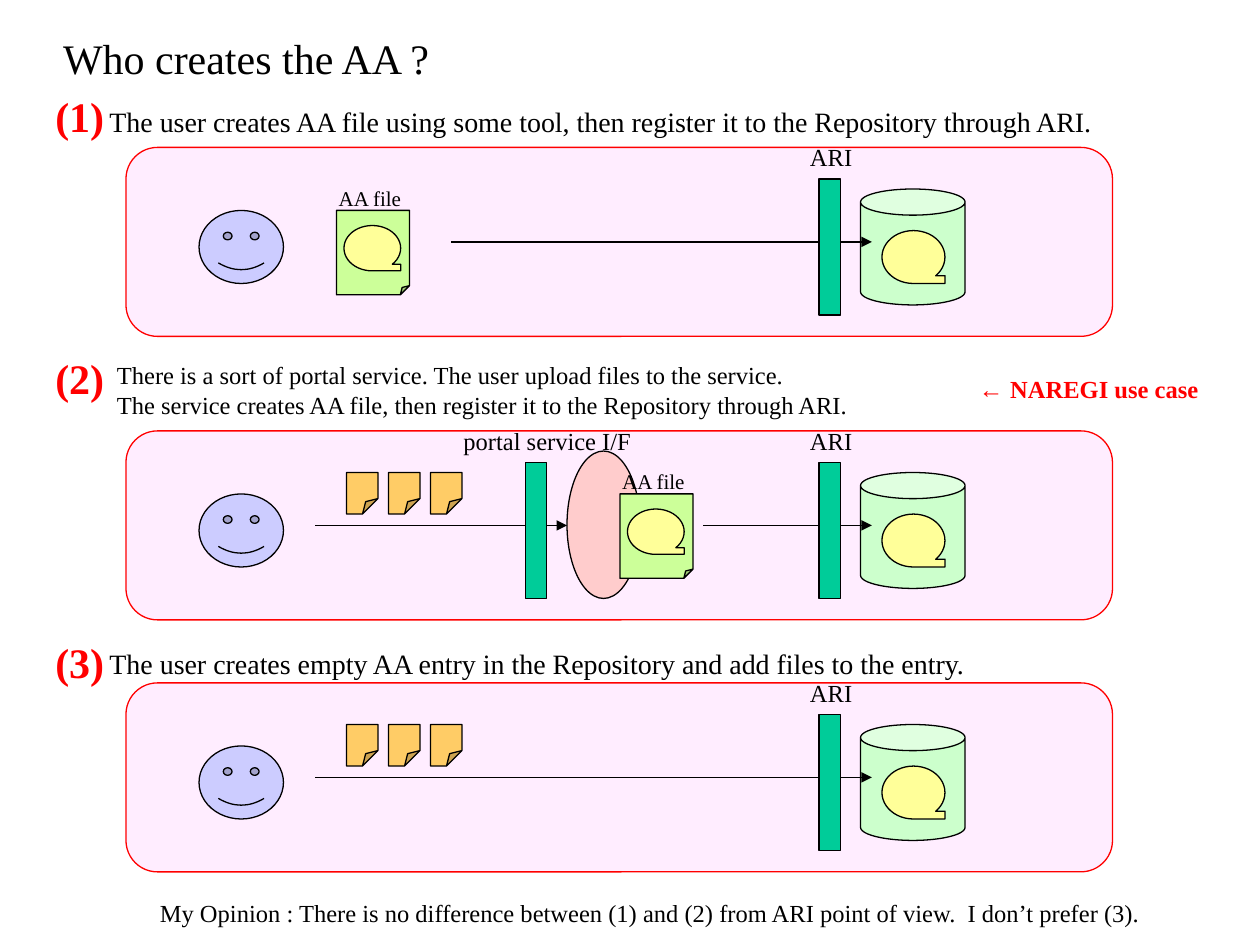
from lxml.etree import SubElement
from pptx import Presentation
from pptx.dml.color import RGBColor
from pptx.enum.shapes import MSO_CONNECTOR, MSO_SHAPE as SHAPE
from pptx.enum.text import MSO_ANCHOR, MSO_AUTO_SIZE, PP_ALIGN
from pptx.oxml.ns import qn
from pptx.util import Inches, Pt

FONT = "Times New Roman"
BLACK, RED = "000000", "FF0000"


def color(value):
    return RGBColor.from_string(value)


def place(sp, *box):
    for name, value in zip(("left", "top", "width", "height"), box):
        setattr(sp, name, Inches(value))


def fill_text(sp, lines, size, ink=BLACK, bold=False, wrap=False):
    tf = sp.text_frame
    for name, value in {"word_wrap": wrap, "auto_size": MSO_AUTO_SIZE.NONE,
                        "vertical_anchor": MSO_ANCHOR.TOP}.items():
        setattr(tf, name, value)
    for i, runs in enumerate(lines):
        p = tf.add_paragraph() if i else tf.paragraphs[0]
        p.alignment = PP_ALIGN.LEFT
        for text, font in runs:
            r = p.add_run()
            r.text = text
            for name, value in {"name": font, "size": Pt(size), "bold": bold}.items():
                setattr(r.font, name, value)
            r.font.color.rgb = color(ink)


def add_label(shapes, text, box, size, **style):
    sp = shapes.add_textbox(*map(Inches, box))
    fill_text(sp, [[(line, FONT)] for line in text.split("\n")], size, **style)


def add_figure(shapes, kind, box, fill, line=BLACK):
    sp = shapes.add_shape(kind, *map(Inches, box))
    sp.shadow.inherit = False
    sp.fill.solid()
    sp.fill.fore_color.rgb = color(fill)
    sp.line.color.rgb = color(line)
    sp.line.width = Pt(0.75)
    return sp


def add_sheet(shapes, box, fill, fold):
    sp = add_figure(shapes, SHAPE.FOLDED_CORNER, box, fill)
    guides = sp._element.spPr.find(qn("a:prstGeom")).find(qn("a:avLst"))
    for guide in list(guides):
        guides.remove(guide)
    SubElement(guides, qn("a:gd"), name="adj", fmla=f"val {round(fold * 100000)}")


def add_arrow(shapes, x1, x2, y):
    cn = shapes.add_connector(MSO_CONNECTOR.STRAIGHT, *map(Inches, (x1, y, x2, y)))
    cn.line.color.rgb = color(BLACK)
    cn.line.width = Pt(0.75)
    sp_pr = cn._element.spPr
    SubElement(sp_pr.find(qn("a:ln")), qn("a:tailEnd"), type="triangle")
    SubElement(sp_pr, qn("a:effectLst"))


def add_tape(shapes, *box):
    add_figure(shapes, SHAPE.FLOWCHART_SEQUENTIAL_ACCESS_STORAGE, box, "FFFF99")


def add_panel(s, top):
    shapes = s.shapes.add_group_shape().shapes
    add_figure(shapes, SHAPE.ROUNDED_RECTANGLE, (1, top, 7.83, 1.5), "FFEDFF", RED)
    add_figure(shapes, SHAPE.SMILEY_FACE, (1.58, top + 0.5, 0.67, 0.58), "CCCCFF")
    add_figure(shapes, SHAPE.CAN, (6.83, top + 0.33, 0.83, 0.92), "CCFFCC")
    add_tape(shapes, 7, top + 0.66, 0.5, 0.42)
    return shapes


def add_aa_file(shapes, x, top):
    add_sheet(shapes, (x, top + 0.5, 0.58, 0.67), "CCFF99", 0.125)
    add_tape(shapes, x + 0.06, top + 0.62, 0.45, 0.36)
    add_label(shapes, "AA file", (x - 0.08, top + 0.25, 0.7, 0.3), 12)


def add_user_files(shapes, top):
    for i in range(3):
        add_sheet(shapes, (2.75 + i / 3, top + 0.33, 0.25, 0.33), "FFCC66", 0.49)


def add_interface(shapes, top, start, end, bar, name, label_x, label_w):
    add_arrow(shapes, start, end, top + 0.75)
    add_figure(shapes, SHAPE.RECTANGLE, (bar, top + 0.25, 0.17, 1.08), "00CC99")
    add_label(shapes, name, (label_x, top - 0.09, label_w, 0.34), 14)


def add_ari(shapes, top, start):
    add_interface(shapes, top, start, 6.92, 6.5, "ARI", 6.33, 0.53)


def add_heading(s, number, number_y, text, box, size):
    add_label(s.shapes, text, box, size)
    add_label(s.shapes, f"({number})", (0.34, number_y, 0.59, 0.5), 24, ink=RED, bold=True)


def draw_tool_case(s, top):
    shapes = add_panel(s, top)
    add_aa_file(shapes, 2.67, top)
    add_ari(shapes, top, 3.58)


def draw_portal_case(s, top):
    shapes = add_panel(s, top)
    add_figure(shapes, SHAPE.OVAL, (4.5, top + 0.16, 0.58, 1.17), "FFCCCC")
    add_aa_file(shapes, 4.92, top)
    add_ari(shapes, top, 5.58)
    add_user_files(shapes, top)
    add_interface(shapes, top, 2.5, 4.5, 4.17, "portal service I/F", 3.58, 1.53)


def draw_entry_case(s, top):
    shapes = add_panel(s, top)
    add_user_files(shapes, top)
    add_ari(shapes, top, 2.5)


def main():
    prs = Presentation()
    prs.slide_width, prs.slide_height = Inches(10), Inches(7.5)
    s = prs.slides.add_slide(prs.slide_layouts[5])
    title = s.shapes.title
    place(title, 0.4, 0.21, 3.14, 0.5)
    fill_text(title, [[("Who creates the AA ?", FONT)]], 24)

    draw_tool_case(s, 1.17)
    draw_portal_case(s, 3.42)
    draw_entry_case(s, 5.42)

    add_heading(s, 1, 0.67, "The user creates AA file using some tool, then register it "
                "to the Repository through ARI.", (0.77, 0.78, 8.03, 0.37), 16)
    add_heading(s, 2, 2.75, "There is a sort of portal service. The user upload files to the service.\n"
                "The service creates AA file, then register it to the Repository through ARI.",
                (0.83, 2.81, 6.04, 0.57), 14)
    add_heading(s, 3, 5, "The user creates empty AA entry in the Repository and add files "
                "to the entry.", (0.77, 5.08, 7.02, 0.37), 16)

    use_case = s.shapes.add_textbox(*map(Inches, (7.67, 2.92, 1.94, 0.34)))
    fill_text(use_case, [[("← ", "Arial"), ("NAREGI use case", FONT)]], 14, RED, True)
    add_label(s.shapes, "My Opinion : There is no difference between (1) and (2) from ARI "
              "point of view.  I don’t prefer (3).", (1.17, 7.08, 8.17, 0.34), 14, wrap=True)
    prs.save("out.pptx")


if __name__ == "__main__":
    main()
